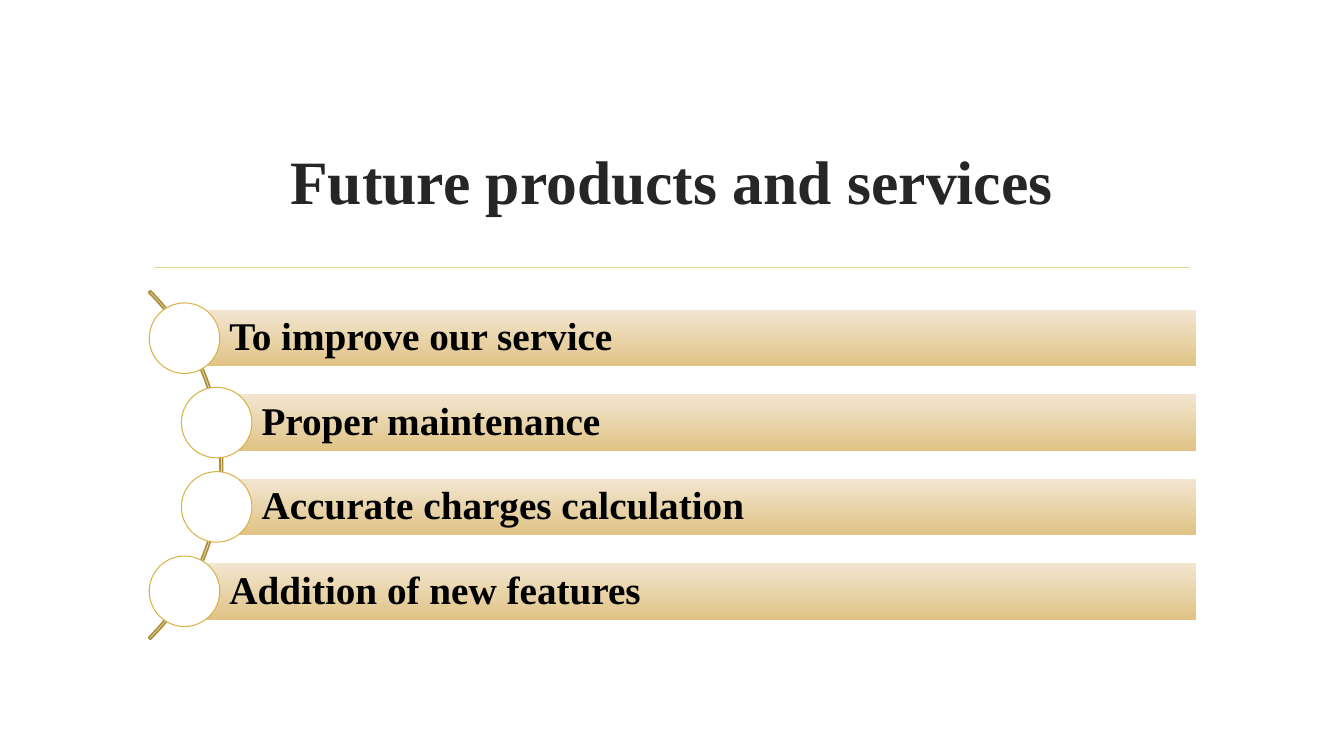
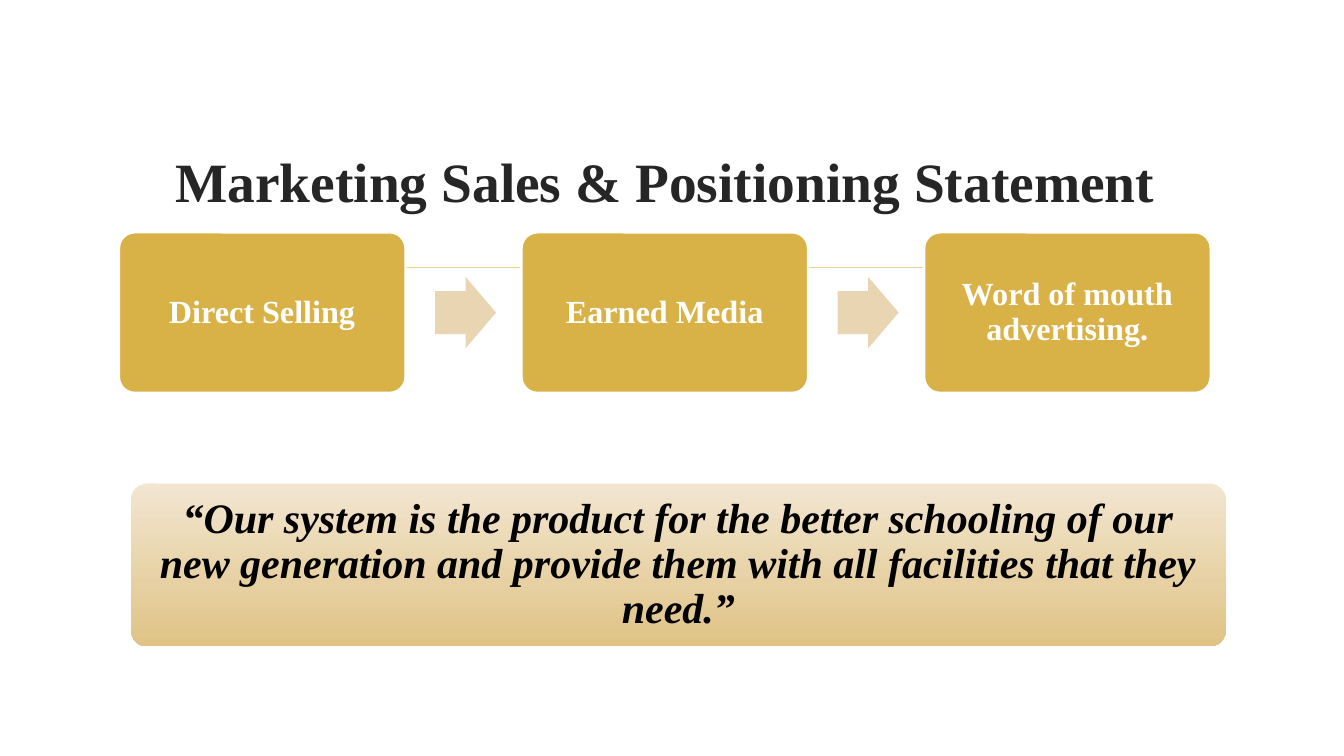
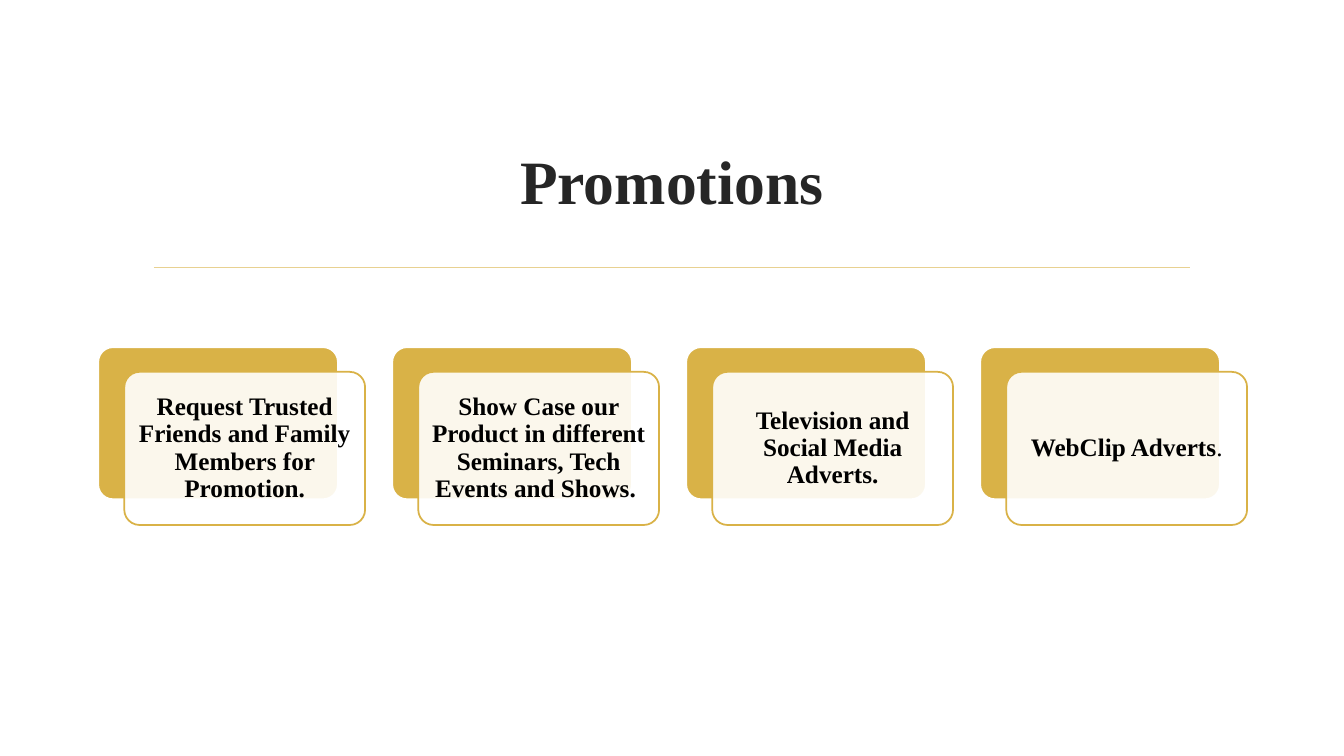
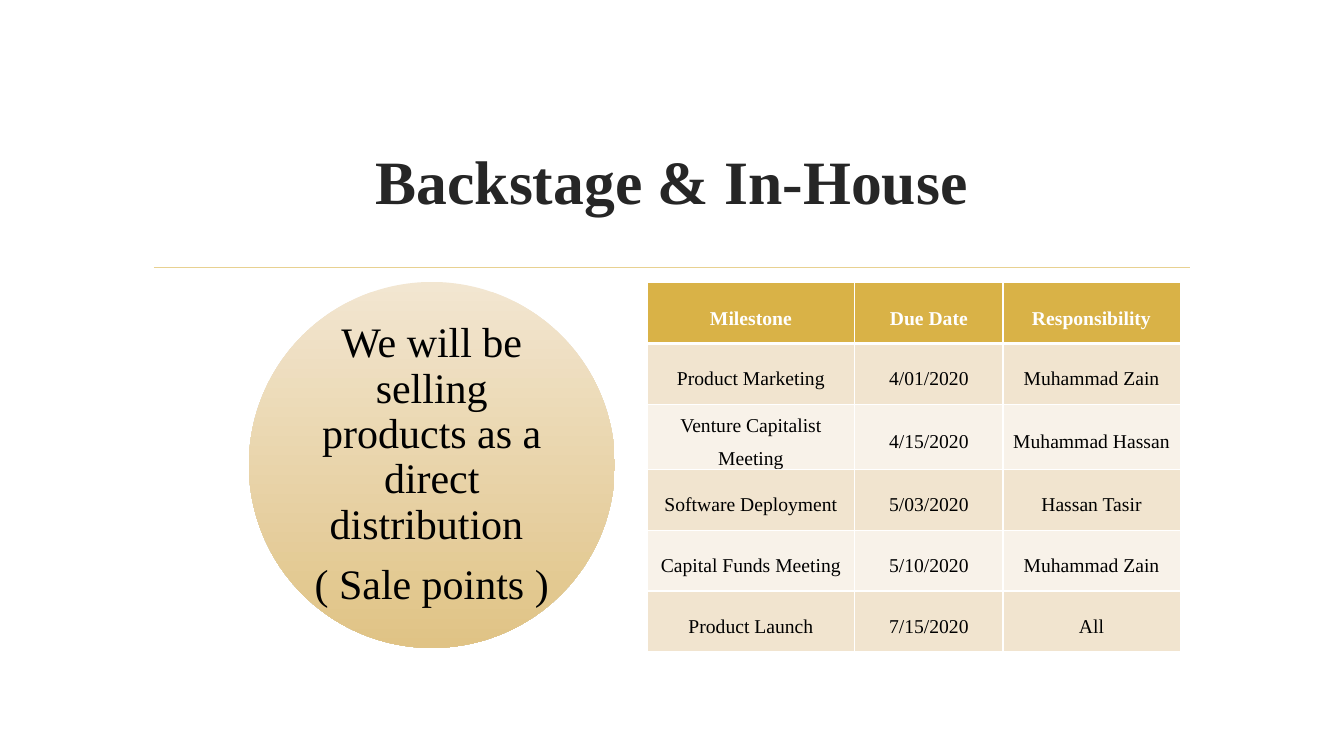
from pptx import Presentation
from pptx.dml.color import RGBColor
from pptx.enum.shapes import MSO_CONNECTOR, MSO_SHAPE as SHAPE
from pptx.enum.text import MSO_ANCHOR as ANCHOR, PP_ALIGN as ALIGN
from pptx.oxml.ns import qn
from pptx.util import Pt
from lxml.etree import SubElement

WHITE = RGBColor(0xFF, 0xFF, 0xFF)
BLACK = RGBColor(0x00, 0x00, 0x00)
INK = RGBColor(0x26, 0x26, 0x26)
GOLD = RGBColor(0xD9, 0xB2, 0x47)
DARK_GOLD = RGBColor(0xAE, 0x8F, 0x39)
RULE = RGBColor(0xE8, 0xD1, 0x91)
ARROW = RGBColor(0xE9, 0xD5, 0xB1)
BAND_DARK = RGBColor(0xF1, 0xE4, 0xCF)
BAND_LIGHT = RGBColor(0xF8, 0xF2, 0xE9)
GRADIENT = (RGBColor(0xF2, 0xE6, 0xD1), RGBColor(0xE0, 0xC3, 0x85))
FONT = "Times New Roman"


def add_box(s, kind, x, y, w, h, fill=None, line=None, width=1.25, inset=(0, 0)):
    """Add a preset shape; fill is a colour, a pair of gradient colours or None."""
    sp = s.shapes.add_shape(kind, Pt(x), Pt(y), Pt(w), Pt(h))
    sp.shadow.inherit = False
    if kind == SHAPE.ROUNDED_RECTANGLE:
        sp.adjustments[0] = 0.1
    if fill is None:
        sp.fill.background()
    elif fill is GRADIENT:
        sp.fill.gradient()
        sp.fill.gradient_angle = 270
        for stop, color, position in zip(sp.fill.gradient_stops, GRADIENT, (0, 1)):
            stop.color.rgb = color
            stop.position = position
    else:
        sp.fill.solid()
        sp.fill.fore_color.rgb = fill
    if line is None:
        sp.line.fill.background()
    else:
        sp.line.color.rgb = line
        sp.line.width = Pt(width)
    left, right = inset
    frame = {"word_wrap": True, "vertical_anchor": ANCHOR.MIDDLE, "margin_left": Pt(left),
             "margin_right": Pt(right), "margin_top": Pt(right), "margin_bottom": Pt(right)}
    for name, value in frame.items():
        setattr(sp.text_frame, name, value)
    return sp


def add_text(p, text, size, color, bold=True, italic=False, align=ALIGN.CENTER, spacing=0.9):
    """Add a formatted run to a paragraph."""
    p.alignment = align
    p.line_spacing = spacing
    r = p.add_run()
    r.text = text
    for name, value in {"name": FONT, "size": Pt(size), "bold": bold, "italic": italic}.items():
        setattr(r.font, name, value)
    r.font.color.rgb = color


prs = Presentation()
prs.slide_width, prs.slide_height = Pt(960), Pt(540)

# Shared title place
layout = prs.slide_layouts[5]
title = layout.placeholders[0]
title.left, title.top, title.width, title.height = Pt(102), Pt(77), Pt(756), Pt(103)

# Slides with title and rule
slides = []
for text, size in [("Future products and services", 44),
                   ("Marketing Sales & Positioning Statement ", 39.6),
                   ("Promotions", 44),
                   ("Backstage & In-House", 44)]:
    s = prs.slides.add_slide(layout)
    s.shapes.title.text_frame.vertical_anchor = ANCHOR.MIDDLE
    add_text(s.shapes.title.text_frame.paragraphs[0], text, size, INK, spacing=1.0)
    rule = s.shapes.add_connector(MSO_CONNECTOR.STRAIGHT, Pt(110), Pt(191), Pt(850), Pt(191))
    rule.line.color.rgb = RULE
    rule.line.width = Pt(1.25)
    SubElement(rule._element.spPr, qn("a:effectLst"))
    slides.append(s)
future, marketing, promotions, backstage = slides

# Future products: bars along an arc
arc = add_box(future, SHAPE.BLOCK_ARC, -193, 156.2, 352, 352, line=DARK_GOLD)
for i, value in enumerate((189, 27, 0.005)):
    arc.adjustments[i] = value
bars = [("To improve our service", 131.8), ("Proper maintenance", 154.8),
        ("Accurate charges calculation", 154.8), ("Addition of new features", 131.8)]
for i, (text, x) in enumerate(bars):
    y = 221.4 + 60.25 * i
    sp = add_box(future, SHAPE.RECTANGLE, x, y, 854.6 - x, 40.4, GRADIENT, inset=(32, 5.5))
    add_text(sp.text_frame.paragraphs[0], text, 28, BLACK, align=ALIGN.LEFT)
    add_box(future, SHAPE.OVAL, x - 25.2, y - 5, 50.4, 50.4, WHITE, GOLD, 0.75)

# Marketing: three steps with arrows between them, then the statement
steps = ["Direct Selling", "Earned Media", "Word of mouth advertising."]
for i, text in enumerate(steps):
    x = 84.8 + 287.6 * i
    sp = add_box(marketing, SHAPE.ROUNDED_RECTANGLE, x, 165.8, 205, 115, GOLD, WHITE, 2, (7, 7))
    add_text(sp.text_frame.paragraphs[0], text, 23, WHITE)
    if i < len(steps) - 1:
        arrow = add_box(marketing, SHAPE.RIGHT_ARROW, x + 226, 197.8, 43.5, 51, ARROW)
        arrow.adjustments[0], arrow.adjustments[1] = 0.6, 0.5
sp = add_box(marketing, SHAPE.ROUNDED_RECTANGLE, 93.6, 345.4, 782, 116.4, GRADIENT, inset=(8.5, 8.5))
add_text(sp.text_frame.paragraphs[0],
         "“Our system is the product for the better schooling of our new generation "
         "and provide them with all facilities that they need.”", 30, BLACK, italic=True)

# Promotions: translucent cards over gold ones
cards = ["Request Trusted Friends and Family Members for Promotion.",
         "Show Case our Product in different Seminars, Tech Events and Shows. ",
         "Television and Social Media Adverts.",
         "WebClip Adverts"]
for i, text in enumerate(cards):
    x = 69.8 + 210 * i
    add_box(promotions, SHAPE.ROUNDED_RECTANGLE, x, 247.6, 172, 109.4, GOLD, WHITE, 2)
    sp = add_box(promotions, SHAPE.ROUNDED_RECTANGLE, x + 19, 265.6, 172, 109.4, WHITE, GOLD, inset=(5, 5))
    color = sp._element.spPr.find(qn("a:solidFill"))[0]
    SubElement(color, qn("a:alpha"), val="90000")
    add_text(sp.text_frame.paragraphs[0], text, 18, BLACK)
add_text(sp.text_frame.paragraphs[0], ".", 18, BLACK, bold=False)

# Backstage: circle
sp = add_box(backstage, SHAPE.OVAL, 177.8, 201.4, 261.4, 261.4, GRADIENT)
tf = sp.text_frame
p = tf.paragraphs[0]
p.space_after = Pt(10.5)
add_text(p, "We will be selling products as a direct distribution ", 30, BLACK, bold=False)
add_text(tf.add_paragraph(), "( Sale points )", 30, BLACK, bold=False)

# Backstage: milestone table
rows = [("Milestone", "Due Date", "Responsibility"),
        ("Product Marketing", "4/01/2020", "Muhammad Zain"),
        ("Venture Capitalist Meeting", "4/15/2020", "Muhammad Hassan"),
        ("Software Deployment", "5/03/2020", "Hassan Tasir"),
        ("Capital Funds Meeting", "5/10/2020", "Muhammad Zain"),
        ("Product Launch", "7/15/2020", "All")]
widths = (148.4, 105.8, 126.6)
table = backstage.shapes.add_table(len(rows), len(widths), Pt(462.2), Pt(201.8),
                                   Pt(sum(widths)), Pt(43.5 * len(rows))).table
for column, width in zip(table.columns, widths):
    column.width = Pt(width)
for i, row in enumerate(rows):
    table.rows[i].height = Pt(43.5)
    header = i == 0
    for j, text in enumerate(row):
        cell = table.cell(i, j)
        for name, value in {"vertical_anchor": ANCHOR.MIDDLE, "margin_left": Pt(5), "margin_right": Pt(5),
                            "margin_top": 0, "margin_bottom": 0}.items():
            setattr(cell, name, value)
        add_text(cell.text_frame.paragraphs[0], text, 14, WHITE if header else BLACK,
                 bold=header, spacing=1.5)
        # Borders come before the fill; the line under the header is thicker
        tcPr = cell._tc.get_or_add_tcPr()
        for side in ("L", "R", "T", "B"):
            thick = (i, side) in ((0, "B"), (1, "T"))
            ln = SubElement(tcPr, qn(f"a:ln{side}"), w=str(Pt(3 if thick else 1)))
            SubElement(SubElement(ln, qn("a:solidFill")), qn("a:srgbClr"), val=str(WHITE))
        cell.fill.solid()
        cell.fill.fore_color.rgb = GOLD if header else BAND_DARK if i % 2 else BAND_LIGHT

prs.save("out.pptx")
